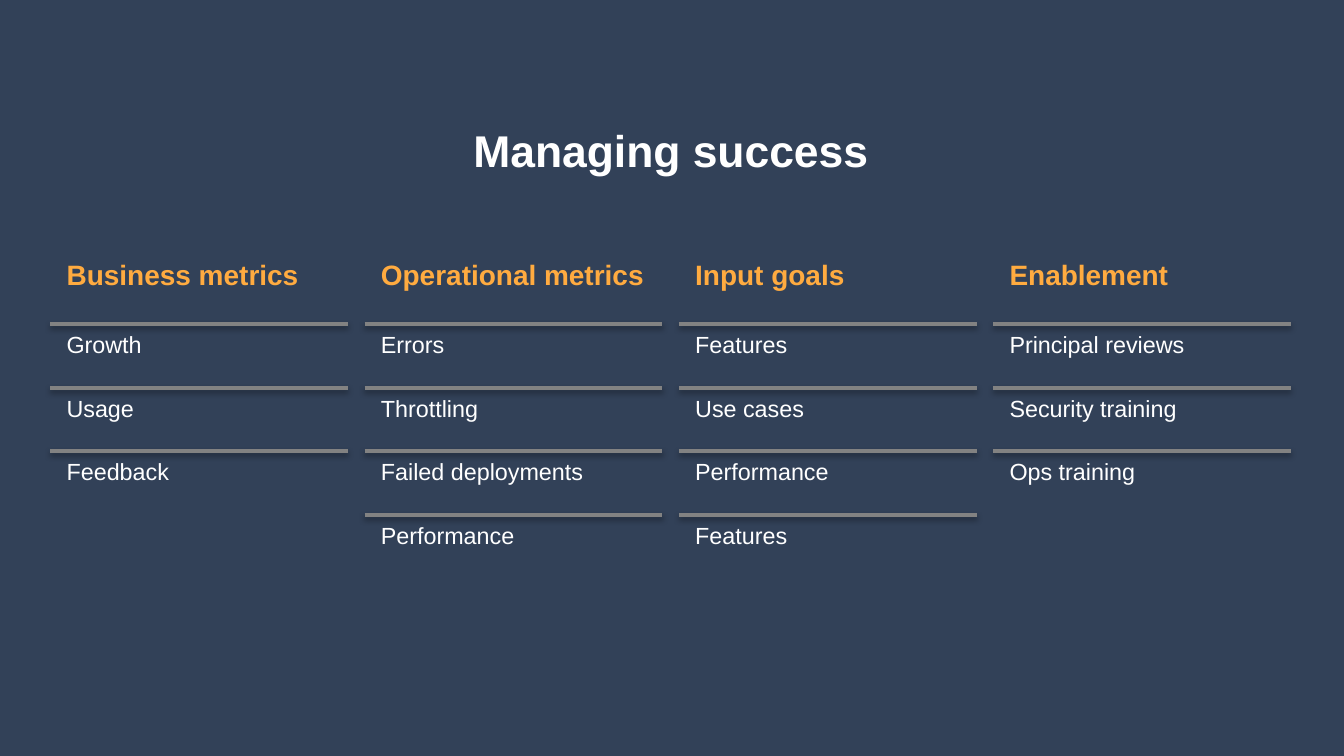
"""Build the "Managing success" slide: four columns of ruled goals."""
from dataclasses import dataclass

from lxml.etree import SubElement
from pptx import Presentation
from pptx.dml.color import RGBColor
from pptx.enum.shapes import MSO_CONNECTOR
from pptx.enum.text import MSO_ANCHOR, MSO_AUTO_SIZE, PP_ALIGN
from pptx.oxml.ns import qn
from pptx.slide import Slide
from pptx.util import Cm, Pt

NAVY = RGBColor(0x32, 0x41, 0x58)
AMBER = RGBColor(0xFF, 0xAB, 0x40)
WHITE = RGBColor(0xFF, 0xFF, 0xFF)
GREY = RGBColor(0x82, 0x82, 0x82)

LEFT, WIDTH, STEP = 0.95, 5.63, 5.94
HEAD_TOP, RULE_TOP, ITEM_TOP, ROW = 4.7, 6.13, 6.17, 1.2


@dataclass
class Column:
    head: str
    items: list[str]


@dataclass
class Style:
    size: float
    color: RGBColor
    bold: bool
    insets: tuple[float, float, float, float]
    align: PP_ALIGN = PP_ALIGN.LEFT
    anchor: MSO_ANCHOR = MSO_ANCHOR.MIDDLE
    fit: MSO_AUTO_SIZE = MSO_AUTO_SIZE.SHAPE_TO_FIT_TEXT


TITLE = Style(23.8, WHITE, True, (0.15, 0.08, 0.15, 0.08),
              PP_ALIGN.CENTER, MSO_ANCHOR.TOP, MSO_AUTO_SIZE.NONE)
HEAD = Style(15, AMBER, True, (0.31, 0.15, 0.25, 0.13))
ITEM = Style(12.5, WHITE, False, (0.31, 0.08, 0.25, 0.13))

COLUMNS = [
    Column("Business metrics", ["Growth", "Usage", "Feedback"]),
    Column("Operational metrics",
           ["Errors", "Throttling", "Failed deployments", "Performance"]),
    Column("Input goals",
           ["Features", "Use cases", "Performance", "Features"]),
    Column("Enablement",
           ["Principal reviews", "Security training", "Ops training"]),
]


def add_text(slide: Slide, text: str, left: float, top: float,
             width: float, height: float, style: Style) -> None:
    box = slide.shapes.add_textbox(Cm(left), Cm(top), Cm(width), Cm(height))
    frame = box.text_frame
    frame.text = text
    frame.word_wrap = True
    frame.auto_size = style.fit
    frame.vertical_anchor = style.anchor
    (frame.margin_left, frame.margin_top,
     frame.margin_right, frame.margin_bottom) = map(Cm, style.insets)
    line = frame.paragraphs[0]
    line.alignment = style.align
    font = line.runs[0].font
    font.name = "Arial"
    font.size = Pt(style.size)
    font.bold = style.bold
    font.color.rgb = style.color


def add_rule(slide: Slide, left: float, top: float) -> None:
    rule = slide.shapes.add_connector(
        MSO_CONNECTOR.STRAIGHT, Cm(left), Cm(top), Cm(left + WIDTH), Cm(top))
    rule.line.color.rgb = GREY
    rule.line.width = Pt(2)
    effects = SubElement(rule._element.spPr, qn("a:effectLst"))
    shadow = SubElement(effects, qn("a:outerShdw"), blurRad=str(Pt(3.1)),
                        dist=str(Pt(1.6)), dir="5400000", rotWithShape="0")
    color = SubElement(shadow, qn("a:srgbClr"), val="000000")
    SubElement(color, qn("a:alpha"), val="38000")


def add_column(slide: Slide, column: Column, left: float) -> None:
    add_text(slide, column.head, left, HEAD_TOP, WIDTH, 0.94, HEAD)
    for row, item in enumerate(column.items):
        add_text(slide, item, left, ITEM_TOP + row * ROW, WIDTH, 0.74, ITEM)
        add_rule(slide, left, RULE_TOP + row * ROW)


def main() -> None:
    deck = Presentation()
    deck.slide_width, deck.slide_height = Cm(25.4), Cm(14.29)
    slide = deck.slides.add_slide(deck.slide_layouts[6])
    fill = slide.background.fill
    fill.solid()
    fill.fore_color.rgb = NAVY
    add_text(slide, "Managing success", 0.94, 2.24, 23.47, 1.57, TITLE)
    for index, column in enumerate(COLUMNS):
        add_column(slide, column, LEFT + index * STEP)
    deck.save("out.pptx")


if __name__ == "__main__":
    main()
